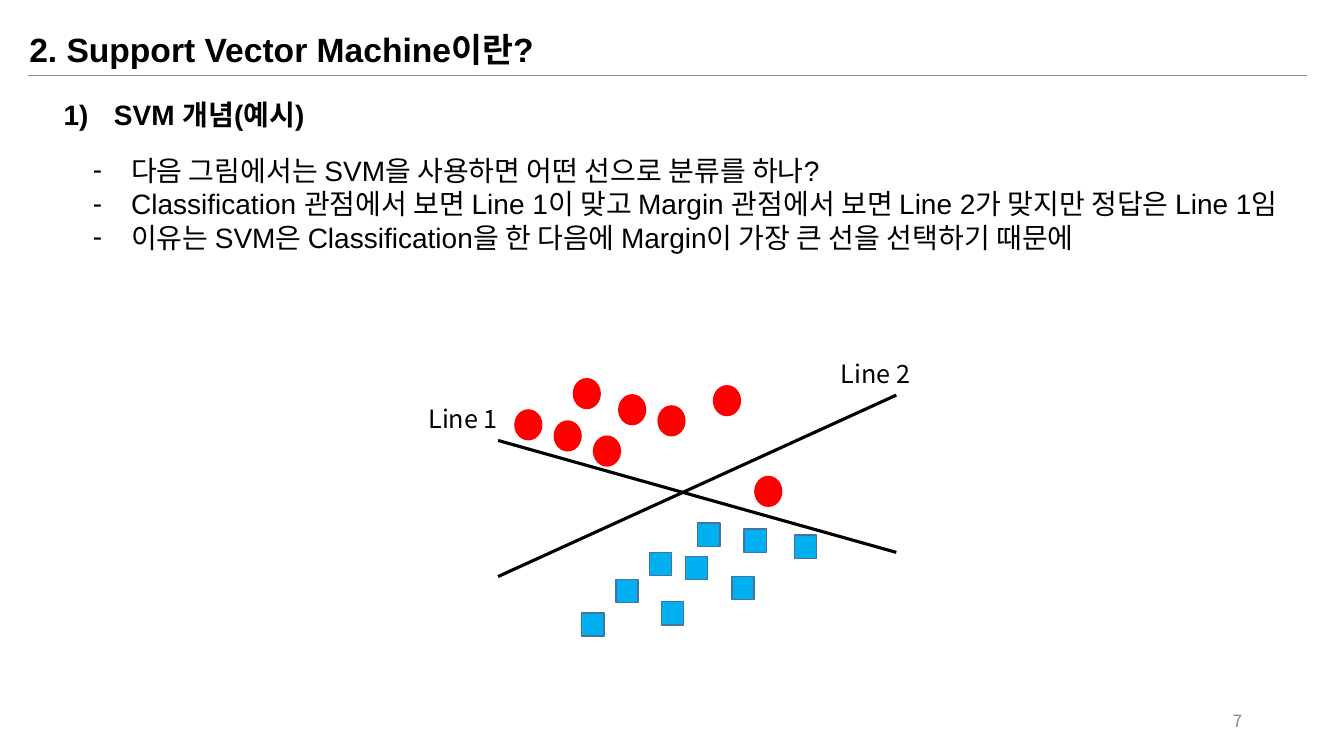
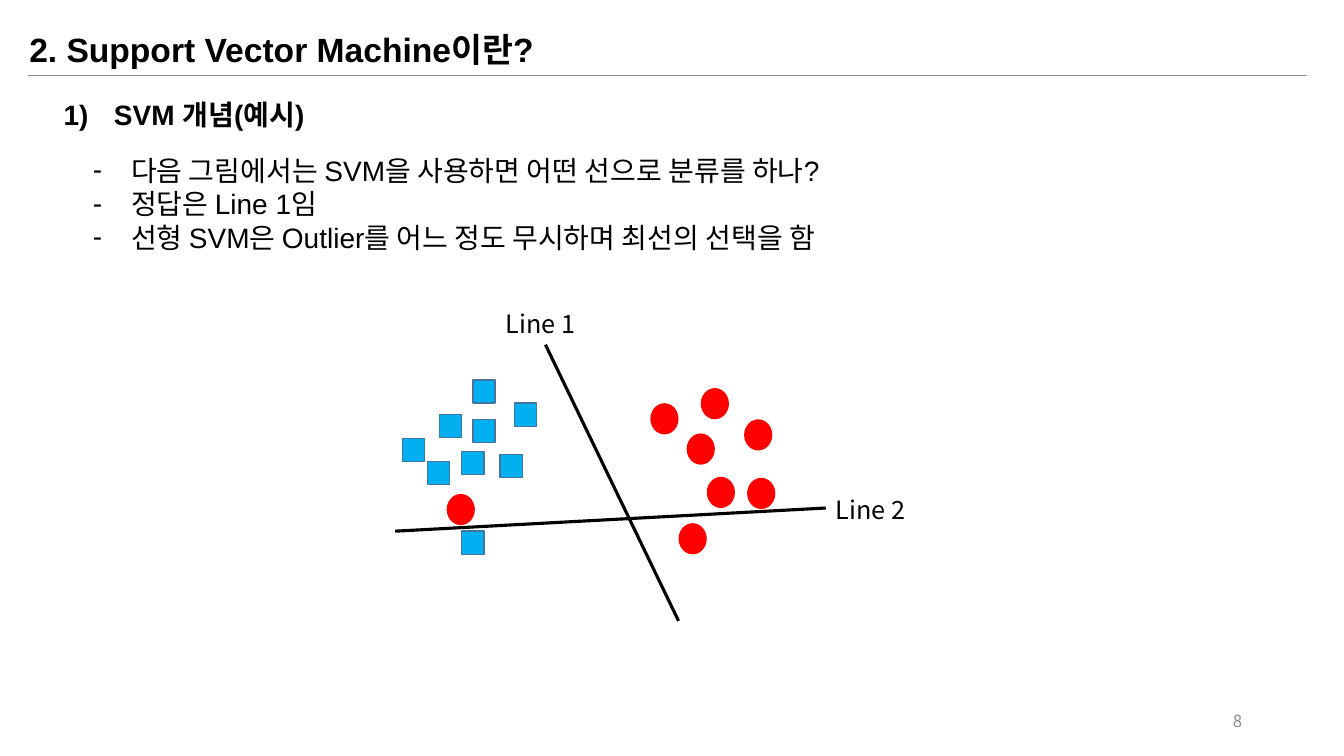
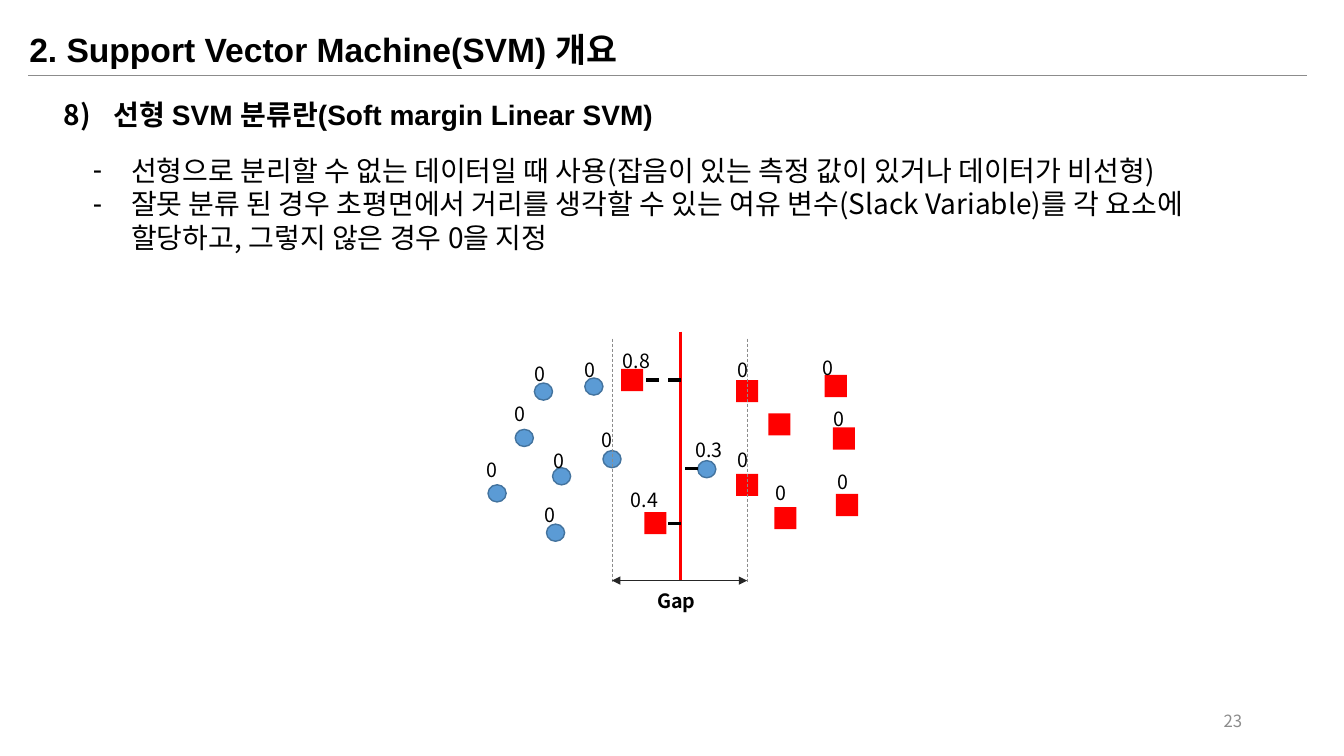
from lxml.etree import SubElement
from pptx import Presentation
from pptx.dml.color import RGBColor
from pptx.enum.dml import MSO_LINE as Dash
from pptx.enum.shapes import MSO_CONNECTOR as Connector, MSO_SHAPE as Shape
from pptx.enum.text import MSO_ANCHOR as Anchor, MSO_AUTO_SIZE as AutoSize, PP_ALIGN as Align
from pptx.oxml.ns import qn
from pptx.util import Inches, Pt

BLACK = RGBColor(0x00, 0x00, 0x00)
CHARCOAL = RGBColor(0x26, 0x26, 0x26)
GRAY = RGBColor(0x8C, 0x8C, 0x8C)
RED = RGBColor(0xFF, 0x00, 0x00)
SKY = RGBColor(0x00, 0xB0, 0xF0)
BLUE = RGBColor(0x5B, 0x9B, 0xD5)
OUTLINE = RGBColor(0x43, 0x73, 0x9E)
LATIN, KOREAN = "Arial", "Noto Sans CJK KR"

# Marker styles: shape, width, height, fill, outline
RED_DOT = (Shape.OVAL, 0.28, 0.31, RED, None)
SKY_SQUARE = (Shape.RECTANGLE, 0.22, 0.23, SKY, OUTLINE)
BLUE_DOT = (Shape.OVAL, 0.18, 0.17, BLUE, OUTLINE)
RED_SQUARE = (Shape.RECTANGLE, 0.22, 0.22, RED, None)

LABEL_WIDTHS = {"Line 1": 1.22, "Line 2": 1.22, "Gap": 0.65, "0": 0.39}
DECIMAL_WIDTH = 0.53
AXIS = 6.75
MARGINS = (6.07, 7.41)

PAGES = [
    {
        "number": "7",
        "title": "2. Support Vector Machine이란?",
        "heading": (1, "SVM 개념(예시)"),
        "font": LATIN,
        "bullets": [
            "다음 그림에서는 SVM을 사용하면 어떤 선으로 분류를 하나?",
            "Classification 관점에서 보면 Line 1이 맞고 Margin 관점에서 보면 Line 2가 맞지만 정답은 Line 1임",
            "이유는 SVM은 Classification을 한 다음에 Margin이 가장 큰 선을 선택하기 때문에",
        ],
        "markers": [
            (RED_DOT, [(5.68, 3.75), (6.52, 4.02), (6.13, 3.91), (5.49, 4.17),
                       (5.88, 4.32), (7.07, 3.82), (5.1, 4.06), (7.48, 4.72)]),
            (SKY_SQUARE, [(6.8, 5.52), (6.92, 5.19), (7.38, 5.25), (7.26, 5.72), (6.11, 5.75),
                          (5.77, 6.08), (7.88, 5.31), (6.44, 5.48), (6.56, 5.97)]),
        ],
        "lines": [(4.94, 4.37, 8.89, 5.48, BLACK, 2.25, None),
                  (4.94, 5.72, 8.89, 3.92, BLACK, 2.25, None)],
        "label_size": 18,
        "labels": [("Line 1", 4.15, 3.95), ("Line 2", 8.24, 3.51)],
    },
    {
        "number": "8",
        "title": "2. Support Vector Machine이란?",
        "heading": (1, "SVM 개념(예시)"),
        "font": LATIN,
        "bullets": [
            "다음 그림에서는 SVM을 사용하면 어떤 선으로 분류를 하나?",
            "정답은 Line 1임",
            "선형 SVM은 Outlier를 어느 정도 무시하며 최선의 선택을 함",
        ],
        "markers": [
            (RED_DOT, [(6.45, 4), (6.95, 3.85), (6.81, 4.3), (4.43, 4.9),
                       (7.01, 4.73), (7.38, 4.16), (6.73, 5.19), (7.41, 4.74)]),
            (SKY_SQUARE, [(4.58, 4.48), (4.69, 4.16), (4.96, 4.51), (4.58, 5.27), (3.99, 4.35),
                          (5.1, 4), (4.69, 3.77), (4.36, 4.11), (4.24, 4.58)]),
        ],
        "lines": [(5.41, 3.42, 6.73, 6.16, BLACK, 2.25, None),
                  (8.19, 5.04, 3.92, 5.27, BLACK, 2.25, None)],
        "label_size": 18,
        "labels": [("Line 1", 4.92, 3.01), ("Line 2", 8.19, 4.85)],
    },
    {
        "number": "23",
        "title": "2. Support Vector Machine(SVM) 개요",
        "heading": (8, "선형 SVM 분류란(Soft margin Linear SVM)"),
        "font": KOREAN,
        "bullets": [
            "선형으로 분리할 수 없는 데이터일 때 사용(잡음이 있는 측정 값이 있거나 데이터가 비선형)",
            "잘못 분류 된 경우 초평면에서 거리를 생각할 수 있는 여유 변수(Slack Variable)를 각 요소에 "
            "할당하고, 그렇지 않은 경우 0을 지정",
        ],
        "markers": [
            (BLUE_DOT, [(5.3, 3.8), (5.8, 3.75), (5.11, 4.26), (4.84, 4.81),
                        (5.98, 4.47), (6.92, 4.57), (5.48, 4.64), (5.42, 5.2)]),
            (RED_SQUARE, [(7.62, 4.1), (8.18, 3.72), (8.26, 4.24), (7.68, 5.03), (8.29, 4.9),
                          (7.3, 3.77), (6.39, 5.08), (6.16, 3.66), (7.3, 4.7)]),
        ],
        "lines": [(x, 3.36, x, 5.79, GRAY, 0.5, Dash.DASH) for x in MARGINS]
                 + [(AXIS, 3.29, AXIS, 5.76, RED, 2.25, None),
                    (6.92, 4.65, AXIS, 4.65, BLACK, 2.25, Dash.DASH)],
        "slack_squares": [(6.16, 3.66), (6.39, 5.08)],
        "gap_arrow": (MARGINS[0], 5.76, MARGINS[1], 5.76, CHARCOAL, 0.5, None),
        "label_size": 14,
        "labels": [("Gap", 6.42, 5.79), ("0.8", 6.08, 3.41), ("0.4", 6.16, 4.79), ("0.3", 6.8, 4.3)]
                  + [("0", left, top) for left, top in [
                      (4.73, 4.49), (5, 3.94), (5.2, 3.54), (5.7, 3.5), (5.39, 4.4), (5.87, 4.2),
                      (5.3, 4.94), (7.22, 4.39), (7.59, 4.72), (8.21, 4.61), (8.17, 3.99),
                      (8.06, 3.48), (7.22, 3.5)]],
    },
]


def write(box, place, lines, font, size, bold=False, color=BLACK, align=Align.LEFT,
          anchor=Anchor.TOP, indent=0, bullet=None):
    """Place a text shape and fill it with equally formatted paragraphs."""
    box.left, box.top, box.width, box.height = [Inches(length) for length in place]
    frame = box.text_frame
    frame.text = "\n".join(lines)
    frame.word_wrap = True
    frame.auto_size = AutoSize.NONE
    frame.vertical_anchor = anchor
    for para in frame.paragraphs:
        properties = para._p.get_or_add_pPr()
        if bullet:
            tag, attributes = bullet
            properties.set("marL", str(Inches(indent)))
            properties.set("indent", str(-Inches(indent)))
            SubElement(properties, qn(tag), attributes)
        para.alignment = align
        para.space_before = Pt(0)
        para.font.size = Pt(size)
        para.font.bold = bold
        para.font.color.rgb = color
        para.font.name = font
        SubElement(properties.find(qn("a:defRPr")), qn("a:ea"), typeface=KOREAN)


def draw_line(page, x1, y1, x2, y2, color, width, dash):
    line = page.shapes.add_connector(Connector.STRAIGHT, Inches(x1), Inches(y1), Inches(x2), Inches(y2))
    line.line.color.rgb = color
    line.line.width = Pt(width)
    if dash:
        line.line.dash_style = dash
    SubElement(line._element.spPr, qn("a:effectLst"))
    return line


deck = Presentation()
deck.slide_width, deck.slide_height = Inches(13.33), Inches(7.5)
two_content = deck.slide_layouts[3]

for content in PAGES:
    page = deck.slides.add_slide(two_content)
    title, heading, bullets = page.placeholders
    draw_line(page, 0.28, 0.75, 12.96, 0.75, GRAY, 0.5, None)
    write(title, (0.19, 0.24, 9.15, 0.5), [content["title"]], LATIN, 24, bold=True)
    start, heading_text = content["heading"]
    write(heading, (0.53, 0.92, 9.15, 0.44), [heading_text], LATIN, 20, bold=True, indent=0.5,
          bullet=("a:buAutoNum", {"type": "arabicParenR", "startAt": str(start)}))
    write(bullets, (0.82, 1.47, 12.09, 1.5), content["bullets"], content["font"], 20, indent=0.38,
          bullet=("a:buChar", {"char": "-"}))
    number = page.shapes.add_textbox(0, 0, 0, 0)
    write(number, (9.42, 6.95, 3, 0.4), [content["number"]], KOREAN, 12, color=GRAY,
          align=Align.RIGHT, anchor=Anchor.MIDDLE)

    markers = {}
    for (shape, width, height, fill, outline), positions in content["markers"]:
        for left, top in positions:
            marker = page.shapes.add_shape(shape, Inches(left), Inches(top), Inches(width), Inches(height))
            marker.shadow.inherit = False
            marker.fill.solid()
            marker.fill.fore_color.rgb = fill
            if outline:
                marker.line.color.rgb = outline
                marker.line.width = Pt(1)
            else:
                marker.line.fill.background()
            markers[left, top] = marker

    for line in content["lines"]:
        draw_line(page, *line)
    for left, top in content.get("slack_squares", []):
        link = draw_line(page, AXIS, top + 0.11, left + 0.22, top + 0.11, BLACK, 2.25, Dash.DASH)
        link.end_connect(markers[left, top], 3)
    if "gap_arrow" in content:
        arrow = draw_line(page, *content["gap_arrow"])
        for end in ("a:headEnd", "a:tailEnd"):
            SubElement(arrow.line._get_or_add_ln(), qn(end), type="triangle")

    size = content["label_size"]
    for text, left, top in content["labels"]:
        label = page.shapes.add_textbox(0, 0, 0, 0)
        place = (left, top, LABEL_WIDTHS.get(text, DECIMAL_WIDTH), 0.4 if size == 18 else 0.34)
        write(label, place, [text], KOREAN, size, bold=text == "Gap")

deck.save("out.pptx")
